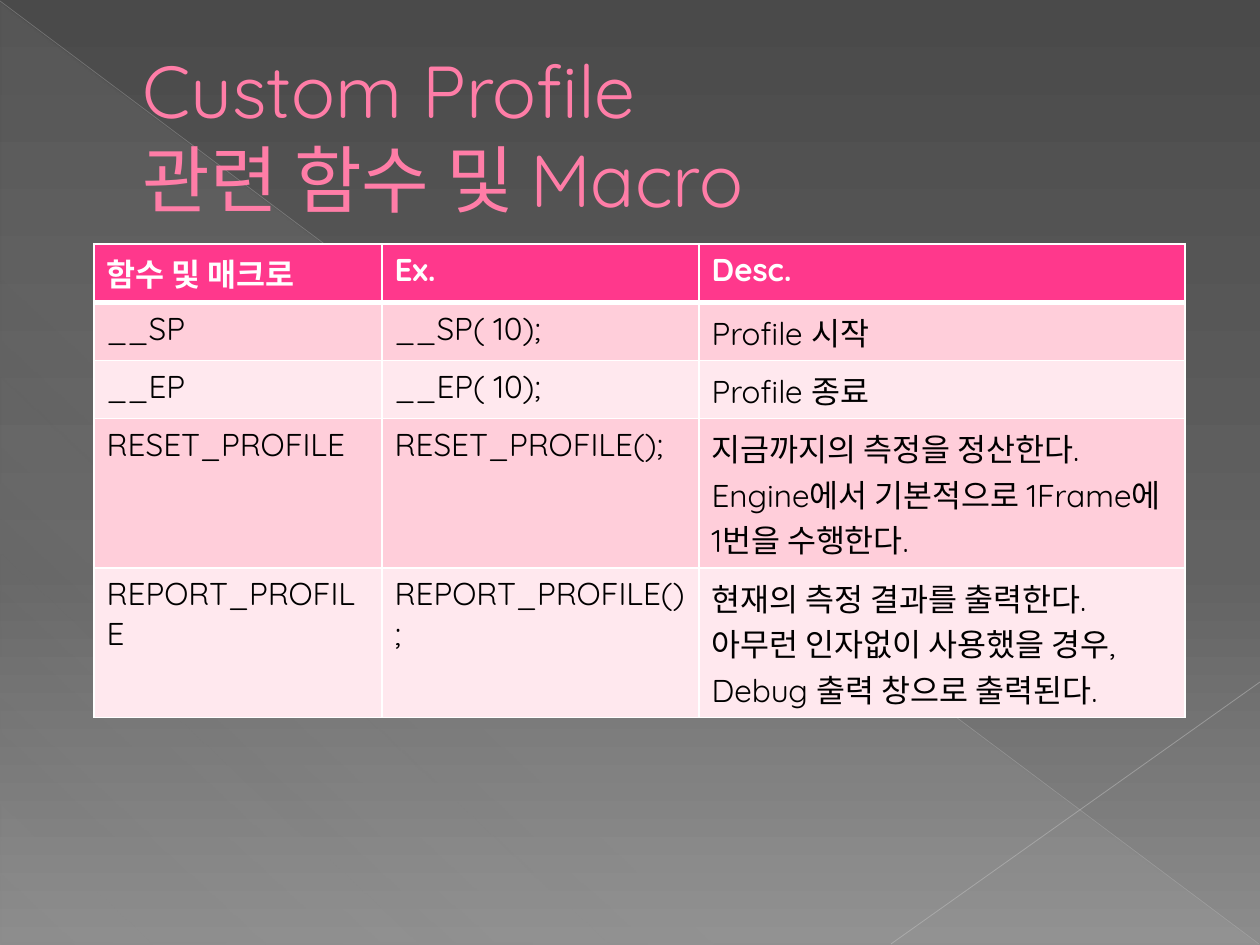
from dataclasses import dataclass

from lxml import etree
from pptx import Presentation
from pptx.dml.color import RGBColor
from pptx.enum.shapes import MSO_CONNECTOR, MSO_SHAPE
from pptx.enum.text import MSO_ANCHOR, MSO_AUTO_SIZE, PP_ALIGN
from pptx.oxml.ns import qn
from pptx.util import Emu, Pt

STRAIGHT = MSO_CONNECTOR.STRAIGHT
RIGHT_TRIANGLE = MSO_SHAPE.RIGHT_TRIANGLE
MIDDLE = MSO_ANCHOR.MIDDLE
NO_AUTOFIT = MSO_AUTO_SIZE.NONE
LEFT = PP_ALIGN.LEFT

EMU_PER_PX = 914400 / 126
TITLE_ONLY = 5


@dataclass(frozen=True)
class Theme:
    font: str = "Quicksand"
    title_size: int = 42
    table_size: int = 18
    title: str = "FF7DA7"
    header: str = "FF388C"
    header_text: str = "FFFFFF"
    body_text: str = "000000"
    bands: tuple = ("FFCEDA", "FFE8EE")
    border: str = "FFFFFF"
    # Gradient stops: position in percent, colour, opacity in percent
    background: tuple = ((0, "4A4A4A", 100), (60, "626262", 100), (100, "8C8C8C", 100))
    sheen: tuple = ((0, "D2D2D2", 10), (70, "D2D2D2", 8), (100, "D2D2D2", 1))


def px(length):
    return Emu(round(length * EMU_PER_PX))


def add_color(parent, color, opacity=100):
    element = etree.SubElement(parent, qn("a:srgbClr"), val=color)
    if opacity < 100:
        etree.SubElement(element, qn("a:alpha"), val=str(opacity * 1000))


def set_gradient(fill, owner, stops, angle):
    """Fill with the given stops; angle is clockwise, owner holds the fill's XML."""
    fill.gradient()
    fill.gradient_angle = 360 - angle
    stop_list = next(owner.iter(qn("a:gsLst")))
    for stop in list(stop_list):
        stop_list.remove(stop)
    for position, color, opacity in stops:
        stop = etree.SubElement(stop_list, qn("a:gs"), pos=str(position * 1000))
        add_color(stop, color, opacity)


class SlideBuilder:
    def __init__(self, slide, theme):
        self.slide = slide
        self.theme = theme

    def background(self):
        set_gradient(self.slide.background.fill, self.slide.element,
                     self.theme.background, 90)

    def sheen(self, left, top, width, height):
        shape = self.slide.shapes.add_shape(
            RIGHT_TRIANGLE, px(left), px(top), px(width), px(height))
        shape.shadow.inherit = False
        shape.line.fill.background()
        set_gradient(shape.fill, shape.element.spPr, self.theme.sheen, 133)

    def line(self, start, end, color, width, opacity):
        connector = self.slide.shapes.add_connector(
            STRAIGHT, *map(px, start), *map(px, end))
        connector.line.width = Pt(width)
        connector.line.color.rgb = RGBColor.from_string(color)
        properties = connector.element.spPr
        solid = next(properties.iter(qn("a:srgbClr")))
        etree.SubElement(solid, qn("a:alpha"), val=str(opacity * 1000))
        etree.SubElement(properties, qn("a:effectLst"))

    def run(self, paragraph, text, size, color, bold=False):
        run = paragraph.add_run()
        run.text = text
        run.font.name = self.theme.font
        run.font.size = Pt(size)
        run.font.bold = bold
        run.font.color.rgb = RGBColor.from_string(color)

    def title(self, lines, left, top, width, height, indent):
        title = self.slide.shapes.title
        title.left, title.top = px(left), px(top)
        title.width, title.height = px(width), px(height)
        self.slide.shapes.element.append(title.element)  # above the decoration
        frame = title.text_frame
        frame.word_wrap = True
        frame.auto_size = NO_AUTOFIT
        frame.vertical_anchor = MIDDLE
        paragraph = frame.paragraphs[0]
        paragraph.alignment = LEFT
        properties = paragraph._p.get_or_add_pPr()
        properties.set("marL", str(px(indent)))
        properties.set("indent", "0")
        for index, line in enumerate(lines):
            if index:
                paragraph.add_line_break()
            self.run(paragraph, line, self.theme.title_size, self.theme.title)

    def borders(self, cell, bottom):
        properties = cell._tc.get_or_add_tcPr()
        for side, width in (("L", 1), ("R", 1), ("T", 1), ("B", bottom)):
            line = etree.SubElement(properties, qn(f"a:ln{side}"), w=str(Pt(width)))
            add_color(etree.SubElement(line, qn("a:solidFill")), self.theme.border)

    def table(self, rows, left, top, column_widths, row_height):
        theme = self.theme
        table = self.slide.shapes.add_table(
            len(rows), len(column_widths), px(left), px(top),
            px(sum(column_widths)), px(row_height * len(rows))).table
        for column, width in zip(table.columns, column_widths):
            column.width = px(width)
        for row_index, texts in enumerate(rows):
            table.rows[row_index].height = px(row_height)
            is_header = row_index == 0
            fill = theme.header if is_header else theme.bands[(row_index - 1) % 2]
            color = theme.header_text if is_header else theme.body_text
            for column_index, text in enumerate(texts):
                cell = table.cell(row_index, column_index)
                self.borders(cell, 3 if is_header else 1)
                cell.fill.solid()
                cell.fill.fore_color.rgb = RGBColor.from_string(fill)
                self.run(cell.text_frame.paragraphs[0], text,
                         theme.table_size, color, is_header)


def main():
    presentation = Presentation()
    presentation.slide_width, presentation.slide_height = px(1260), px(945)
    slide = presentation.slides.add_slide(presentation.slide_layouts[TITLE_ONLY])
    builder = SlideBuilder(slide, Theme())

    builder.background()
    builder.sheen(1, 3, 1258, 942)
    builder.line((0, 1), (1259, 944), "BFBFBF", 0.39, 35)
    builder.line((1260, 682), (891, 944), "C6C6C6", 0.47, 45)
    builder.title(("Custom Profile", "관련 함수 및 Macro"), 63, 37, 1134, 193, indent=67)
    builder.table(
        (
            ("함수 및 매크로", "Ex.", "Desc."),
            ("__SP", "__SP( 10);", "Profile 시작"),
            ("__EP", "__EP( 10);", "Profile 종료"),
            ("RESET_PROFILE", "RESET_PROFILE();",
             "지금까지의 측정을 정산한다. Engine에서 기본적으로 1Frame에 1번을 수행한다."),
            ("REPORT_PROFILE", "REPORT_PROFILE();",
             "현재의 측정 결과를 출력한다. 아무런 인자없이 사용했을 경우, "
             "Debug 출력 창으로 출력된다."),
        ),
        94, 244, column_widths=(288, 317, 486), row_height=52)

    presentation.save("out.pptx")


if __name__ == "__main__":
    main()
